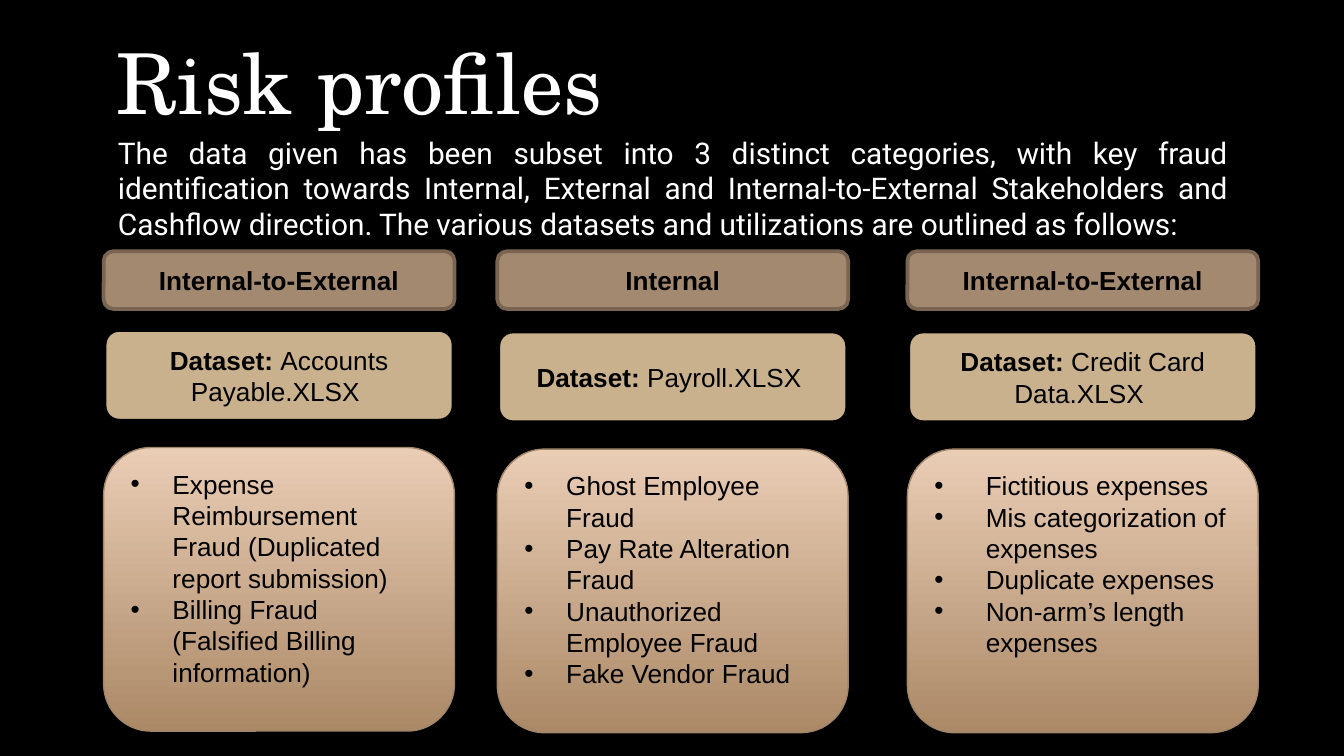
"""Build the risk profiles slide with three columns of fraud categories."""
from dataclasses import dataclass

from lxml.etree import SubElement
from pptx import Presentation
from pptx.dml.color import RGBColor
from pptx.enum.shapes import MSO_SHAPE
from pptx.enum.text import MSO_ANCHOR, PP_ALIGN
from pptx.oxml.ns import qn
from pptx.util import Cm, Pt

TITLE = "Risk profiles"
INTRODUCTION = (
    "The data given has been subset into 3 distinct categories, with key fraud "
    "identification towards Internal, External and Internal-to-External Stakeholders "
    "and Cashflow direction. The various datasets and utilizations are outlined as follows:"
)
DATASET_LABEL = "Dataset: "
COLUMNS = [
    {"left": 1.96, "drop": 0, "indent": 0.79, "heading": "Internal-to-External",
     "dataset": "Accounts Payable.XLSX ",
     "risks": ["Expense Reimbursement Fraud (Duplicated report submission)",
               "Billing Fraud (Falsified Billing information)"]},
    {"left": 9.4, "drop": 0.03, "indent": 0.79, "heading": "Internal",
     "dataset": "Payroll.XLSX ",
     "risks": ["Ghost Employee Fraud", "Pay Rate Alteration Fraud",
               "Unauthorized Employee Fraud", "Fake Vendor Fraud"]},
    {"left": 17.15, "drop": 0.03, "indent": 0.97, "heading": "Internal-to-External",
     "dataset": "Credit Card Data.XLSX ",
     "risks": ["Fictitious expenses", "Mis categorization of expenses",
               "Duplicate expenses", "Non-arm’s length expenses"]},
]
COLUMN_WIDTH = 6.63
HEADING_ROW = (4.75, 1.09)
DATASET_ROW = (6.22, 1.75)
RISKS_ROW = (8.46, 5.36)


@dataclass(frozen=True)
class Theme:
    """Colours, fonts and type sizes of the slide."""
    black: str = "000000"
    white: str = "FFFFFF"
    heading_fill: str = "A3896F"
    heading_line: str = "796552"
    dataset_fill: str = "C9B18E"
    risks_dark: str = "AB8967"
    risks_light: str = "EACDB5"
    risks_line: str = "A1866B"
    title_font: str = "TeX Gyre Schola"
    introduction_font: str = "Roboto"
    body_font: str = "Arial"
    title_size: float = 45
    introduction_size: float = 16
    body_size: float = 14


THEME = Theme()


def color(value):
    """Return a colour object for a hexadecimal value."""
    return RGBColor.from_string(value)


def format_runs(paragraph, font_name, size, font_color, bold=False):
    """Apply one font to every run of a paragraph."""
    for run in paragraph.runs:
        run.font.name = font_name
        run.font.size = Pt(size)
        run.font.color.rgb = color(font_color)
        run.font.bold = bold


def add_text(slide, text, bounds, font_name, size, anchor):
    """Add a wrapped white text box and return its paragraph."""
    text_frame = slide.shapes.add_textbox(*map(Cm, bounds)).text_frame
    text_frame.word_wrap = True
    text_frame.vertical_anchor = anchor
    text_frame.margin_top = text_frame.margin_bottom = Cm(0.25)
    text_frame.text = text
    paragraph = text_frame.paragraphs[0]
    format_runs(paragraph, font_name, size, THEME.white)
    return paragraph


def add_card(slide, left, row, line_color, line_width, anchor, drop=0):
    """Add an outlined rounded rectangle in one row of a column."""
    top, height = row
    shape = slide.shapes.add_shape(
        MSO_SHAPE.ROUNDED_RECTANGLE, Cm(left), Cm(top + drop), Cm(COLUMN_WIDTH), Cm(height))
    shape.shadow.inherit = False
    shape.line.color.rgb = color(line_color)
    shape.line.width = Pt(line_width)
    shape.text_frame.word_wrap = True
    shape.text_frame.vertical_anchor = anchor
    return shape


def fill_solid(shape, value):
    """Fill a shape with one colour."""
    shape.fill.solid()
    shape.fill.fore_color.rgb = color(value)


def add_heading(slide, column):
    """Add the heading card of a column."""
    shape = add_card(slide, column["left"], HEADING_ROW, THEME.heading_line, 2,
                     MSO_ANCHOR.MIDDLE)
    fill_solid(shape, THEME.heading_fill)
    shape.text_frame.text = column["heading"]
    paragraph = shape.text_frame.paragraphs[0]
    paragraph.alignment = PP_ALIGN.CENTER
    format_runs(paragraph, THEME.body_font, THEME.body_size, THEME.black, True)


def add_dataset(slide, column):
    """Add the dataset card of a column with a bold label."""
    shape = add_card(slide, column["left"], DATASET_ROW, THEME.black, 3,
                     MSO_ANCHOR.MIDDLE, column["drop"])
    fill_solid(shape, THEME.dataset_fill)
    shape.text_frame.text = DATASET_LABEL
    paragraph = shape.text_frame.paragraphs[0]
    paragraph.alignment = PP_ALIGN.CENTER
    paragraph.add_run().text = column["dataset"]
    format_runs(paragraph, THEME.body_font, THEME.body_size, THEME.black)
    paragraph.runs[0].font.bold = True


def add_bullet(paragraph, indent):
    """Give a paragraph a hanging black bullet."""
    properties = paragraph._p.get_or_add_pPr()
    properties.set("marL", str(Cm(indent)))
    properties.set("indent", str(-Cm(indent)))
    bullet_color = SubElement(properties, qn("a:buClr"))
    SubElement(bullet_color, qn("a:srgbClr"), val=THEME.black)
    SubElement(properties, qn("a:buFont"), typeface=THEME.body_font)
    SubElement(properties, qn("a:buChar"), char="•")


def add_risks(slide, column):
    """Add the gradient card that lists the risks of a column."""
    shape = add_card(slide, column["left"], RISKS_ROW, THEME.risks_line, 0.75,
                     MSO_ANCHOR.TOP, column["drop"])
    shape.fill.gradient()
    shape.fill.gradient_angle = 90
    for stop, value in zip(shape.fill.gradient_stops, (THEME.risks_dark, THEME.risks_light)):
        stop.color.rgb = color(value)
    shape.text_frame.text = "\n".join(column["risks"])
    for paragraph in shape.text_frame.paragraphs:
        paragraph.alignment = PP_ALIGN.LEFT
        add_bullet(paragraph, column["indent"])
        format_runs(paragraph, THEME.body_font, THEME.body_size, THEME.black)


def main():
    """Assemble and save the presentation."""
    presentation = Presentation()
    presentation.slide_width, presentation.slide_height = Cm(25.4), Cm(14.29)
    slide = presentation.slides.add_slide(presentation.slide_layouts[6])
    slide.background.fill.solid()
    slide.background.fill.fore_color.rgb = color(THEME.black)

    add_text(slide, TITLE, (1.96, 0.61, 10.74, 2.13), THEME.title_font,
             THEME.title_size, MSO_ANCHOR.BOTTOM)
    introduction = add_text(slide, INTRODUCTION, (0.71, 2.29, 22.76, 2.31),
                            THEME.introduction_font, THEME.introduction_size, MSO_ANCHOR.TOP)
    introduction.alignment = PP_ALIGN.JUSTIFY
    introduction._p.get_or_add_pPr().set("marL", str(Cm(1.27)))

    for column in COLUMNS:
        add_heading(slide, column)
        add_dataset(slide, column)
        add_risks(slide, column)
    presentation.save("out.pptx")


if __name__ == "__main__":
    main()
